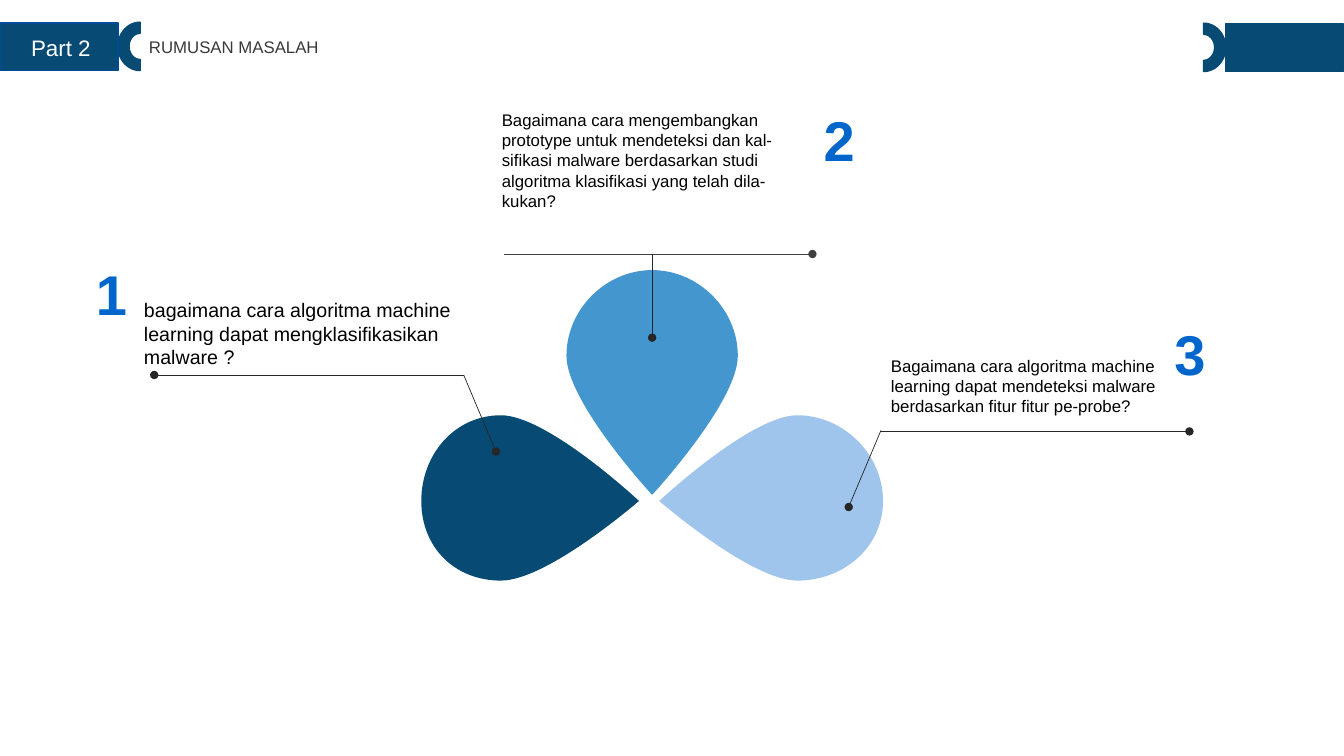
from lxml import etree
from pptx import Presentation
from pptx.dml.color import RGBColor
from pptx.enum.shapes import MSO_CONNECTOR, MSO_SHAPE
from pptx.enum.text import MSO_AUTO_SIZE, PP_ALIGN
from pptx.oxml.ns import qn
from pptx.util import Inches, Pt

STRAIGHT = MSO_CONNECTOR.STRAIGHT
RECTANGLE = MSO_SHAPE.RECTANGLE
BLOCK_ARC = MSO_SHAPE.BLOCK_ARC
GROW = MSO_AUTO_SIZE.SHAPE_TO_FIT_TEXT
LEFT = PP_ALIGN.LEFT
CENTER = PP_ALIGN.CENTER

COLORS = {
    "navy": "074A73", "blue": "4496CF", "pale": "9FC5EC", "border": "004B97",
    "number": "0066CC", "black": "000000", "title": "3B3838", "white": "FFFFFF",
    "rule": "404040", "pointer": "262626",
}
FONT = "Arial"

PETALS = [
    ("blue", (7.32, 3.53), [
        (7.32, 3.99), (6.47, 4.91), (6.47, 4.91),
        (6.47, 4.91), (5.62, 3.99), (5.62, 3.53),
        (5.62, 3.07), (6.01, 2.68), (6.47, 2.68),
        (6.93, 2.68), (7.32, 3.07), (7.32, 3.53),
    ]),
    ("navy", (4.97, 4.12), [
        (5.43, 4.12), (6.34, 4.97), (6.34, 4.97),
        (6.34, 4.97), (5.43, 5.76), (4.97, 5.76),
        (4.51, 5.76), (4.18, 5.43), (4.18, 4.97),
        (4.18, 4.51), (4.51, 4.12), (4.97, 4.12),
    ]),
    ("pale", (7.91, 4.12), [
        (7.45, 4.12), (6.54, 4.97), (6.54, 4.97),
        (6.54, 4.97), (7.45, 5.76), (7.91, 5.76),
        (8.37, 5.76), (8.76, 5.43), (8.76, 4.97),
        (8.76, 4.51), (8.37, 4.12), (7.91, 4.12),
    ]),
]

POINTERS = [
    ((5, 2.52), (8.06, 2.52), "rule"),
    ((6.47, 2.52), (6.47, 3.35), "pointer"),
    ((8.74, 4.28), (11.8, 4.28), "pointer"),
    ((8.74, 4.27), (8.42, 5.03), "pointer"),
    ((4.6, 3.72), (1.53, 3.72), "pointer"),
    ((4.6, 3.72), (4.92, 4.48), "pointer"),
]

HEADER_SHAPES = [
    (BLOCK_ARC, (1.15, 0.24, 0.48, 0.44), 270, "navy"),
    (RECTANGLE, (12.16, 0.24, 1.17, 0.47), 0, "navy"),
    (BLOCK_ARC, (11.7, 0.25, 0.48, 0.44), 90, "navy"),
    (RECTANGLE, (0, 0.23, 1.17, 0.47), 0, "border"),
]

TEXTS = [
    ("bagaimana cara algoritma machine learning dapat mengklasifikasikan\vmalware ?",
     (1.33, 2.91, 3.98, 0.81), 14, "black"),
    ("Bagaimana cara algoritma machine learning dapat mendeteksi malware "
     "berdasarkan fitur fitur pe-probe?",
     (8.74, 3.48, 3.07, 0.71), 12, "black"),
    ("RUMUSAN MASALAH", (1.38, 0.32, 2.96, 0.3), 12, "title"),
    ("Part 2", (0.21, 0.29, 0.87, 0.37), 16, "white"),
    ("Bagaimana cara mengembangkan prototype untuk mendeteksi dan kal-\v"
     "sifikasi malware berdasarkan studi algoritma klasifikasi yang telah dila-\v"
     "kukan?",
     (4.88, 1.04, 3.25, 1.11), 12, "black"),
]

NUMBERS = [("1", 0.75, 2.53), ("3", 11.45, 3.12), ("2", 7.97, 1)]
NUMBER_SIZE = (0.71, 0.77)


def color(name):
    return RGBColor.from_string(COLORS[name])


def bend_segments(shape):
    segments = list(shape._element.iter(qn("a:lnTo")))
    for index in range(0, len(segments), 3):
        curve = etree.Element(qn("a:cubicBezTo"))
        segments[index].addprevious(curve)
        for segment in segments[index:index + 3]:
            curve.append(segment[0])
            segment.getparent().remove(segment)


def add_petal(slide, fill, start, controls):
    builder = slide.shapes.build_freeform(*map(Inches, start))
    builder.add_line_segments([tuple(map(Inches, point)) for point in controls], close=True)
    petal = builder.convert_to_shape()
    bend_segments(petal)
    petal.shadow.inherit = False
    petal.fill.solid()
    petal.fill.fore_color.rgb = color(fill)
    petal.line.fill.background()


def add_pointer(slide, start, end, line_color):
    pointer = slide.shapes.add_connector(STRAIGHT, *map(Inches, start + end))
    pointer.line.color.rgb = color(line_color)
    pointer.line.width = Pt(0.5)
    line = pointer._element.spPr.find(qn("a:ln"))
    etree.SubElement(line, qn("a:tailEnd"), type="oval")
    etree.SubElement(pointer._element.spPr, qn("a:effectLst"))


def add_header_shape(slide, kind, box, rotation, line_color):
    shape = slide.shapes.add_shape(kind, *map(Inches, box))
    shape.rotation = rotation
    shape.shadow.inherit = False
    shape.fill.solid()
    shape.fill.fore_color.rgb = color("navy")
    shape.line.color.rgb = color(line_color)
    shape.line.width = Pt(1)


def add_text(slide, text, box, size, text_color, bold=False, alignment=LEFT):
    frame = slide.shapes.add_textbox(*map(Inches, box)).text_frame
    frame.word_wrap = True
    frame.auto_size = GROW
    paragraph = frame.paragraphs[0]
    paragraph.text = text
    paragraph.alignment = alignment
    paragraph.font.name = FONT
    paragraph.font.size = Pt(size)
    paragraph.font.bold = bold
    paragraph.font.color.rgb = color(text_color)


def main():
    presentation = Presentation()
    presentation.slide_width = Inches(40) // 3
    presentation.slide_height = Inches(7.5)
    slide = presentation.slides.add_slide(presentation.slide_layouts[6])
    for petal in PETALS:
        add_petal(slide, *petal)
    for pointer in POINTERS:
        add_pointer(slide, *pointer)
    for header_shape in HEADER_SHAPES:
        add_header_shape(slide, *header_shape)
    for text in TEXTS:
        add_text(slide, *text)
    for number, left, top in NUMBERS:
        add_text(slide, number, (left, top) + NUMBER_SIZE, 40, "number", True, CENTER)
    presentation.save("out.pptx")


if __name__ == "__main__":
    main()
